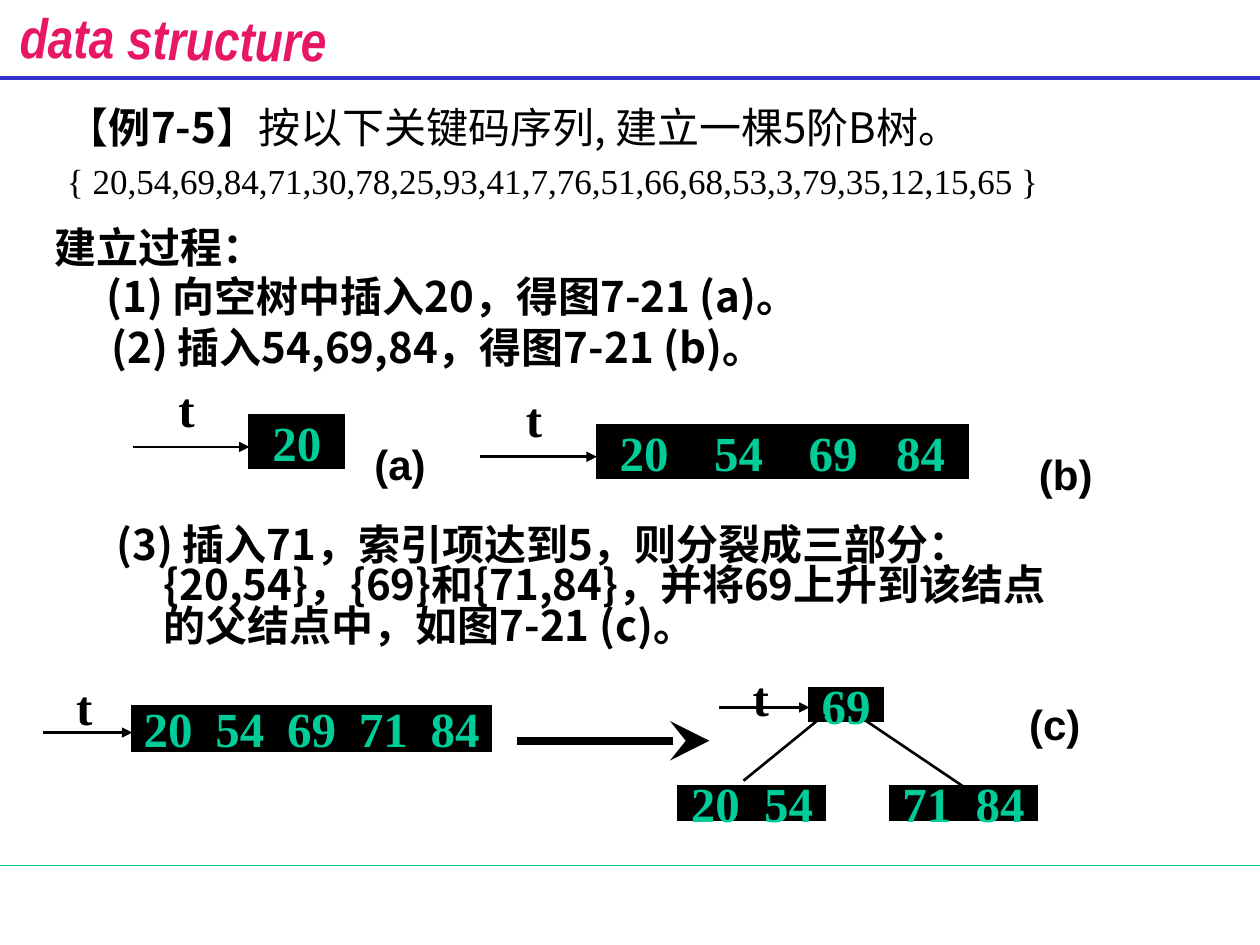
from pptx import Presentation
from pptx.util import Pt
from pptx.dml.color import RGBColor
from pptx.enum.shapes import MSO_CONNECTOR, MSO_SHAPE
from pptx.enum.text import MSO_ANCHOR, MSO_AUTO_SIZE, PP_ALIGN
from pptx.oxml.ns import qn
from lxml import etree

COLORS = {
    "bg": "FEFFFF", "ink": "000000", "key": "00CC99",
    "title": "E81766", "rule": "3333CC",
}
CJK, SERIF, SANS = "Noto Sans CJK SC", "Times New Roman", "Arial"


def rgb(name):
    return RGBColor.from_string(COLORS[name])


def add_run(p, text, size=24, font=CJK, color="ink", bold=True, italic=False):
    r = p.add_run()
    r.text = text
    f = r.font
    f.size, f.name, f.bold, f.italic = Pt(size), font, bold, italic
    f.color.rgb = rgb(color)
    ea = etree.SubElement(r._r.get_or_add_rPr(), qn("a:ea"))
    ea.set("typeface", CJK if font == SANS else font)


def add_text(slide, box, text, align=PP_ALIGN.LEFT, hang=0, spacing=None,
             wrap=True, inset=None, **fmt):
    sp = slide.shapes.add_textbox(*map(Pt, box))
    tf = sp.text_frame
    tf.word_wrap = wrap
    if inset is not None:
        tf.margin_left = tf.margin_right = Pt(inset)
        tf.margin_top = tf.margin_bottom = Pt(inset)
    p = tf.paragraphs[0]
    p.alignment = align
    if spacing:
        p.line_spacing = spacing
    set_hang(p, hang)
    add_run(p, text, **fmt)
    return tf


def set_hang(p, hang):
    if hang:
        pPr = p._p.get_or_add_pPr()
        pPr.set("marL", str(Pt(hang)))
        pPr.set("indent", str(-Pt(hang)))


def add_line(slide, start, end, color="ink", width=1.5, head=None, size="med"):
    ln = slide.shapes.add_connector(
        MSO_CONNECTOR.STRAIGHT, *map(Pt, (*start, *end)))
    ln.line.color.rgb = rgb(color)
    ln.line.width = Pt(width)
    if head:
        tail = etree.SubElement(ln.line._get_or_add_ln(), qn("a:tailEnd"))
        tail.set("type", head)
        tail.set("w", size)
        tail.set("len", size)
    etree.SubElement(ln._element.spPr, qn("a:effectLst"))


def add_keys(slide, box, keys):
    x, y, w, h = box
    for i, key in enumerate(keys):
        sp = slide.shapes.add_shape(
            MSO_SHAPE.RECTANGLE, *map(Pt, (x + i * w, y, w, h)))
        sp.shadow.inherit = False
        sp.fill.solid()
        sp.fill.fore_color.rgb = rgb("ink")
        sp.line.color.rgb = rgb("ink")
        sp.line.width = Pt(1.5)
        miter = etree.SubElement(sp.line._get_or_add_ln(), qn("a:miter"))
        miter.set("lim", "800000")
        tf = sp.text_frame
        tf.word_wrap = False
        tf.vertical_anchor = MSO_ANCHOR.MIDDLE
        p = tf.paragraphs[0]
        p.alignment = PP_ALIGN.CENTER
        add_run(p, str(key), size=28, font=SERIF, color="key")


def add_root(slide, box, keys, lead, drop, t_rise, t_width):
    x, y = box[:2]
    add_keys(slide, box, keys)
    add_line(slide, (x - lead, y + drop), (x, y + drop), head="triangle")
    t_left = x - lead * 0.54 - t_width / 2
    add_text(slide, (t_left, y - t_rise, t_width, 36), "t",
             align=PP_ALIGN.CENTER, size=28, font=SERIF)


def add_caption(slide, x, y, text):
    add_text(slide, (x, y, 45.4, 33.8), text, hang=27, spacing=0.8, font=SANS)


def add_header(slide, box):
    title = slide.shapes.title
    title.left, title.top, title.width, title.height = map(Pt, box)
    title.rotation = 0.8
    tf = title.text_frame
    tf.auto_size = MSO_AUTO_SIZE.NONE
    tf.word_wrap = False
    tf.margin_left = tf.margin_right = 0
    tf.vertical_anchor = MSO_ANCHOR.TOP
    p = tf.paragraphs[0]
    p.alignment = PP_ALIGN.CENTER
    add_run(p, "data structure", size=32, font="Arial Narrow",
            color="title", italic=True)


def add_problem(slide, box):
    tf = add_text(slide, box, "【", hang=27, bold=False)
    p = tf.paragraphs[0]
    add_run(p, "例7-5")
    add_run(p, "】按以下关键码序列, 建立一棵5阶B树。", bold=False)
    p = tf.add_paragraph()
    p.space_before = Pt(4)
    set_hang(p, 27)
    add_run(p, "{ 20,54,69,84,71,30,78,25,93,41,7,76,51,66,68,53,3,79,35,12,15,65 }",
            size=20, font=SERIF, bold=False)


def add_steps(slide):
    add_text(slide, (31, 126.7, 120.2, 28.8), "建立过程：", hang=27,
             wrap=False, inset=0, font=SANS)
    steps = [
        ((54, 156.6, 442, 33.8), "(1) 向空树中插入20，得图7-21 (a)。"),
        ((56.9, 185.8, 561.6, 33.8), "(2) 插入54,69,84，得图7-21 (b)。"),
        ((59.5, 298.3, 567.4, 56.9),
         "(3) 插入71，索引项达到5，则分裂成三部分：{20,54}，{69}和{71,84}，"
         "并将69上升到该结点的父结点中，如图7-21 (c)。"),
    ]
    for box, text in steps:
        add_text(slide, box, text, hang=27, spacing=0.8)


def add_first_inserts(slide, x, y):
    pointer = dict(lead=66.6, drop=18, t_rise=24.5, t_width=36)
    add_root(slide, (x, y, 54, 30), [20], **pointer)
    add_caption(slide, x + 64.3, y + 15.5, "(a)")
    bx, by = x + 198.5, y + 5.6
    add_root(slide, (bx, by, 54, 30), [20, 54, 69], **pointer)
    add_keys(slide, (bx + 157.9, by, 54, 30), [84])
    add_caption(slide, bx + 245.5, by + 15.5, "(b)")


def add_split(slide, x, y):
    add_root(slide, (x, y, 41, 25.2), [20, 54, 69, 71, 84],
             lead=50.8, drop=15.1, t_rise=20.2, t_width=27.4)
    add_line(slide, (x + 220, y + 19.8), (x + 329.8, y + 19.8),
             width=4.5, head="stealth", size="lg")
    w, h = 41.8, 18.9
    rx, ry = x + 387, y - 10.4
    add_root(slide, (rx, ry, w, h), [69],
             lead=51.6, drop=11.2, t_rise=15, t_width=28)
    child_y = ry + 56.4
    add_keys(slide, (rx - 74.7, child_y, w, h), [20, 54])
    add_keys(slide, (rx + 46.2, child_y, w, h), [71, 84])
    add_line(slide, (rx + 8.6, ry + 15.3), (rx - 37.7, child_y - 3.4))
    add_line(slide, (rx + 32.4, ry + h), (rx + 46.2 + w, child_y))
    add_caption(slide, rx + 118.4, ry + 8, "(c)")


def main():
    prs = Presentation()
    prs.slide_width, prs.slide_height = Pt(720), Pt(540)
    slide = prs.slides.add_slide(prs.slide_layouts[5])
    slide.background.fill.solid()
    slide.background.fill.fore_color.rgb = rgb("bg")
    add_line(slide, (0, 494.6), (720, 494.6), color="key", width=1)
    add_line(slide, (0, 44.6), (720, 44.6), color="rule", width=2.25)
    add_header(slide, (-1, -1.2, 200, 38.9))
    add_problem(slide, (31.2, 54.7, 623.5, 56.9))
    add_steps(slide)
    add_first_inserts(slide, 142.6, 237.4)
    add_split(slide, 75.6, 403.5)
    prs.save("out.pptx")


if __name__ == "__main__":
    main()
